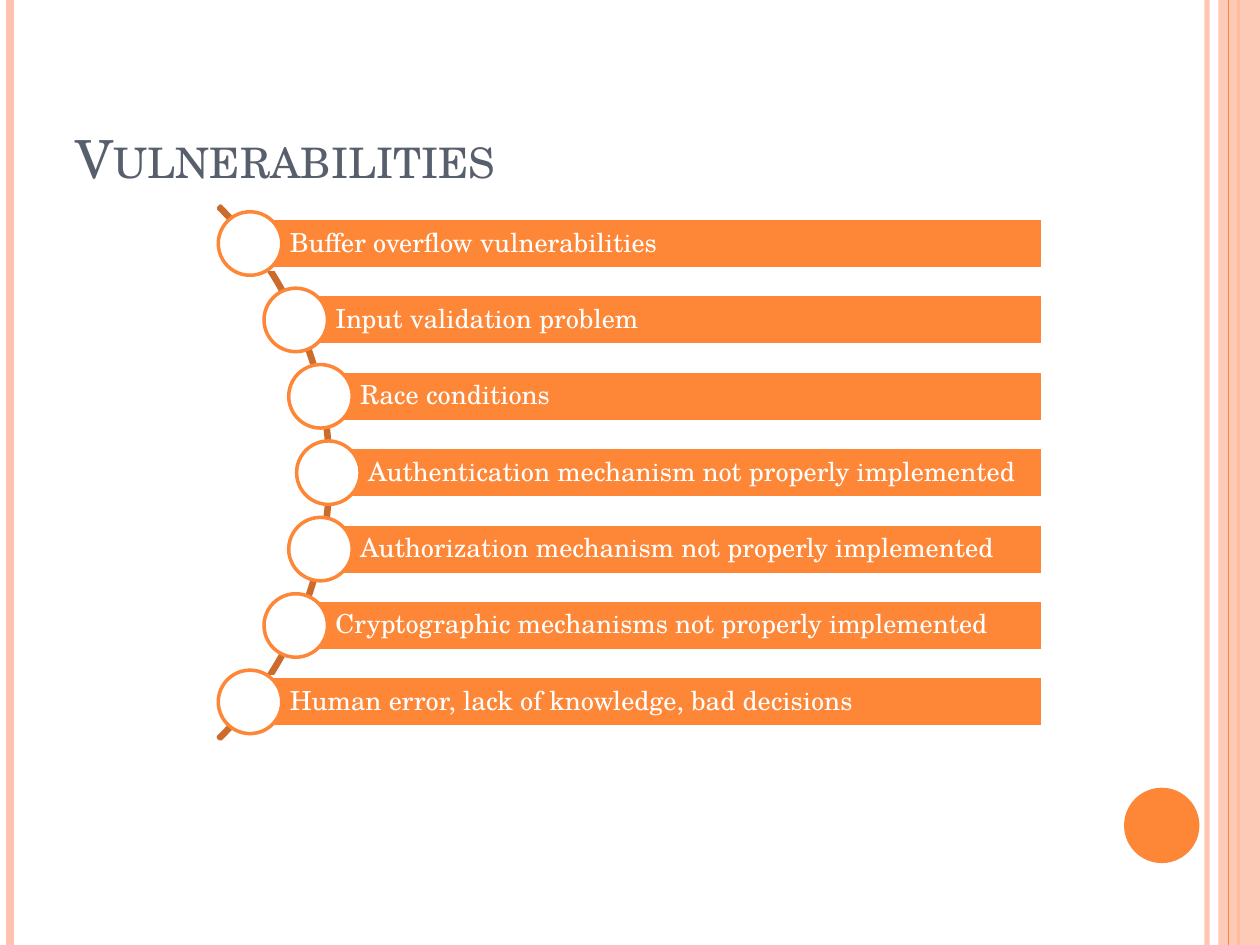
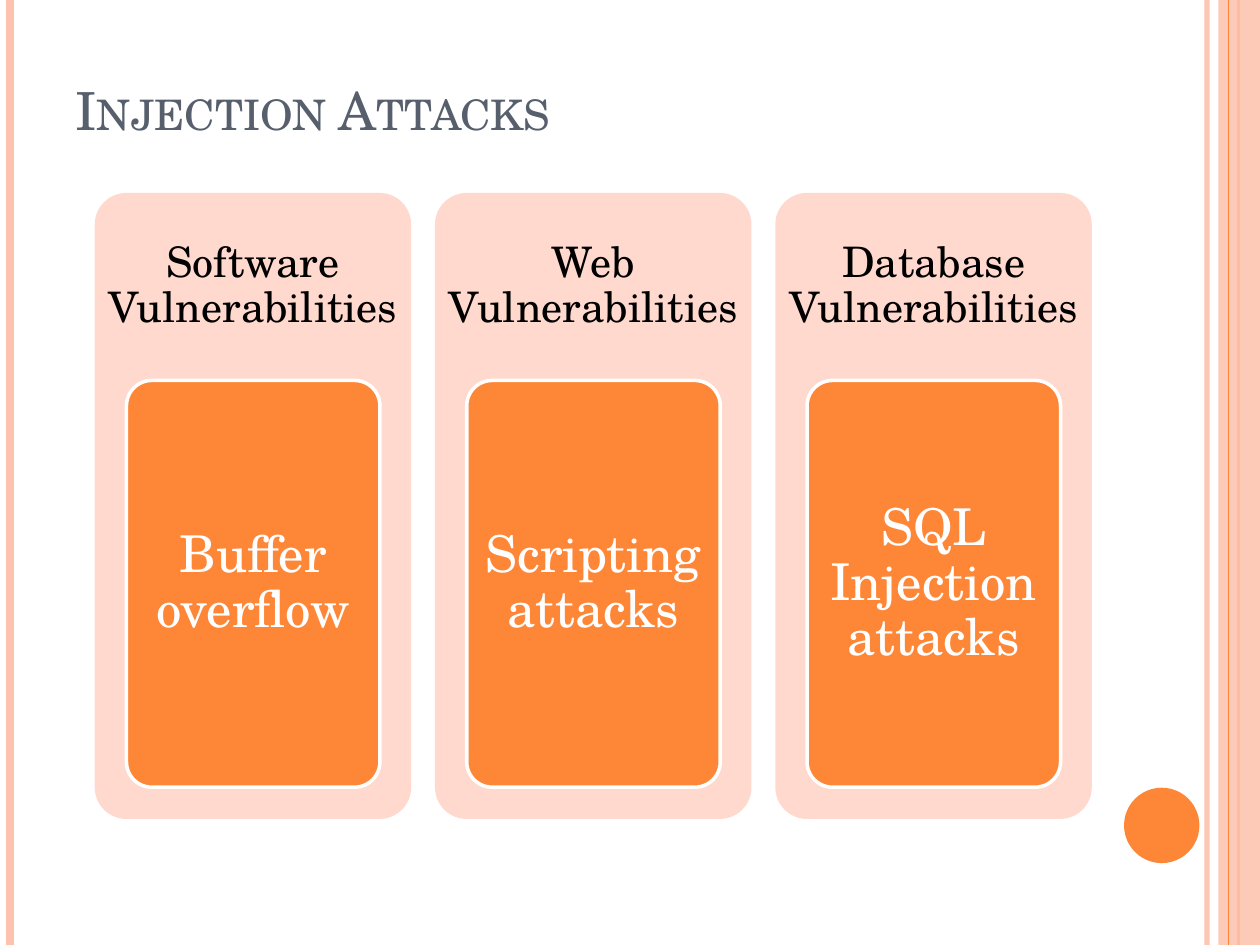
"""Build two slides on software vulnerabilities and injection attacks."""
import math
from dataclasses import dataclass

import pptx
import pptx.dml.color
import pptx.enum.shapes
import pptx.enum.text
import pptx.oxml.ns
import pptx.oxml.xmlchemy
import pptx.util
from lxml import etree

Cm = pptx.util.Cm
Shapes = pptx.enum.shapes.MSO_SHAPE
Align = pptx.enum.text.PP_ALIGN
Anchor = pptx.enum.text.MSO_ANCHOR

FONT = "TeX Gyre Schola"
ORANGE, DARK_ORANGE = "FE8637", "CB6B2C"
PEACH, PALE_PEACH = "FEC3AE", "FFD9CE"
SLATE, WHITE, BLACK = "575F6D", "FFFFFF", "000000"
SLIDE_WIDTH, SLIDE_HEIGHT = 25.4, 19.05


@dataclass(frozen=True)
class Box:
    left: float
    top: float
    width: float
    height: float

    def lengths(self) -> list:
        return [Cm(value) for value in (self.left, self.top, self.width, self.height)]


@dataclass(frozen=True)
class Stripe:
    x: float
    color: str
    points: float
    opacity: int = 100


@dataclass(frozen=True)
class TextStyle:
    size: float
    color: str
    align: Align
    insets: tuple


@dataclass(frozen=True)
class AttackPanel:
    heading: str
    attack: str


STRIPES_BELOW_BAND = [Stripe(24.33, PEACH, 3, 93), Stripe(0.2, PEACH, 4.5), Stripe(24.97, ORANGE, 1.5)]
STRIPE_ABOVE_BAND = Stripe(24.77, ORANGE, 0.75)

BAR_TEXT = TextStyle(15, WHITE, Align.LEFT, (0.8, 0.1, 0.1, 0.1))
HEADING_TEXT = TextStyle(24, BLACK, Align.CENTER, (0.25, 0.25, 0.25, 0.25))
CARD_TEXT = TextStyle(29, WHITE, Align.CENTER, (0.2, 0.15, 0.2, 0.15))

VULNERABILITIES = [
    "Buffer overflow vulnerabilities",
    "Input validation problem",
    "Race conditions",
    "Authentication mechanism not properly implemented",
    "Authorization mechanism not properly implemented",
    "Cryptographic mechanisms not properly implemented",
    "Human error, lack of knowledge, bad decisions",
]
ATTACK_PANELS = [
    AttackPanel("Software Vulnerabilities", "Buffer overflow"),
    AttackPanel("Web Vulnerabilities", "Scripting attacks"),
    AttackPanel("Database Vulnerabilities", "SQL Injection attacks"),
]


def rgb(color: str) -> pptx.dml.color.RGBColor:
    return pptx.dml.color.RGBColor.from_string(color)


def set_opacity(shape, percent: int) -> None:
    if percent < 100:
        for color in shape.element.xpath(".//p:spPr//a:srgbClr"):
            alpha = etree.SubElement(color, pptx.oxml.ns.qn("a:alpha"))
            alpha.set("val", str(percent * 1000))


def add_figure(slide, kind, box: Box, fill: str = "", line: str = "", adjustments: tuple = ()):
    figure = slide.shapes.add_shape(kind, *box.lengths())
    figure.shadow.inherit = False
    for index, value in enumerate(adjustments):
        figure.adjustments[index] = value
    if fill:
        figure.fill.solid()
        figure.fill.fore_color.rgb = rgb(fill)
    else:
        figure.fill.background()
    if line:
        figure.line.color.rgb = rgb(line)
        figure.line.width = pptx.util.Pt(2)
    else:
        figure.line.fill.background()
    return figure


def add_stripe(slide, stripe: Stripe):
    line = slide.shapes.add_connector(
        pptx.enum.shapes.MSO_CONNECTOR.STRAIGHT, Cm(stripe.x), Cm(0), Cm(stripe.x), Cm(SLIDE_HEIGHT))
    line.line.color.rgb = rgb(stripe.color)
    line.line.width = pptx.util.Pt(stripe.points)
    etree.SubElement(line.element.spPr, pptx.oxml.ns.qn("a:effectLst"))
    set_opacity(line, stripe.opacity)
    return line


def format_font(font, size: float, color: str) -> None:
    font.name = FONT
    font.size = pptx.util.Pt(size)
    font.color.rgb = rgb(color)


def write_text(shape, text: str, style: TextStyle) -> None:
    frame = shape.text_frame
    frame.text = text
    frame.word_wrap = True
    frame.vertical_anchor = Anchor.MIDDLE
    (frame.margin_left, frame.margin_top,
     frame.margin_right, frame.margin_bottom) = [Cm(inset) for inset in style.insets]
    para = frame.paragraphs[0]
    para.alignment = style.align
    para.line_spacing = 0.9
    format_font(para.runs[0].font, style.size, style.color)


def decorate_master(deck, slide) -> None:
    decorations = [add_stripe(slide, stripe) for stripe in STRIPES_BELOW_BAND]
    band = add_figure(slide, Shapes.RECTANGLE, Box(24.56, 0, 0.84, SLIDE_HEIGHT), PEACH)
    set_opacity(band, 87)
    decorations += [
        band,
        add_stripe(slide, STRIPE_ABOVE_BAND),
        add_figure(slide, Shapes.OVAL, Box(22.66, 15.88, 1.52, 1.52), ORANGE),
    ]
    for number, decoration in enumerate(decorations, start=101):
        decoration.element.xpath(".//p:cNvPr")[0].set("id", str(number))
        deck.slide_master.shapes.element.append(decoration.element)


def add_titled_slide(deck, text: str, height: float):
    slide = deck.slides.add_slide(deck.slide_layouts.get_by_name("Title Only"))
    title = slide.shapes.title
    title.left, title.top, title.width, title.height = Box(1.27, 0.76, 20.75, height).lengths()
    frame = title.text_frame
    frame.text = text
    frame.auto_size = pptx.enum.text.MSO_AUTO_SIZE.NONE
    frame.vertical_anchor = Anchor.BOTTOM
    para = frame.paragraphs[0]
    para.alignment = Align.LEFT
    span = para.runs[0]
    format_font(span.font, 30, SLATE)
    span._r.get_or_add_rPr().set("cap", "small")
    return slide


def draw_vulnerability_arc(slide) -> None:
    center_x, center_y = -0.93, 9.53
    arc_radius, node_orbit = 7.6, 7.55
    pitch, bar_height, bar_right, node_size = 1.54, 1.02, 21.02, 1.28
    arc_box = Box(center_x - arc_radius, center_y - arc_radius, 2 * arc_radius, 2 * arc_radius)
    add_figure(slide, Shapes.BLOCK_ARC, arc_box, line=DARK_ORANGE, adjustments=(189, 27, 0.004))
    for index, vulnerability in enumerate(VULNERABILITIES):
        offset = (index - (len(VULNERABILITIES) - 1) / 2) * pitch
        node_x = center_x + math.sqrt(node_orbit ** 2 - offset ** 2)
        node_y = center_y + offset
        bar_box = Box(node_x, node_y - bar_height / 2, bar_right - node_x, bar_height)
        bar = add_figure(slide, Shapes.RECTANGLE, bar_box, ORANGE, WHITE)
        write_text(bar, vulnerability, BAR_TEXT)
        node_box = Box(node_x - node_size / 2, node_y - node_size / 2, node_size, node_size)
        add_figure(slide, Shapes.OVAL, node_box, WHITE, ORANGE)


def draw_attack_panels(slide) -> None:
    top, width, pitch, heading_height = 3.89, 6.38, 6.86, 3.78
    for index, panel in enumerate(ATTACK_PANELS):
        left = 1.91 + index * pitch
        add_figure(slide, Shapes.ROUNDED_RECTANGLE, Box(left, top, width, 12.62), PALE_PEACH,
                   adjustments=(0.1,))
        heading = slide.shapes.add_textbox(*Box(left, top, width, heading_height).lengths())
        write_text(heading, panel.heading, HEADING_TEXT)
        card_box = Box(left + 0.64, top + heading_height, 5.11, 8.2)
        card = add_figure(slide, Shapes.ROUNDED_RECTANGLE, card_box, ORANGE, WHITE, (0.1,))
        write_text(card, panel.attack, CARD_TEXT)


def main() -> None:
    deck = pptx.Presentation()
    deck.slide_width, deck.slide_height = Cm(SLIDE_WIDTH), Cm(SLIDE_HEIGHT)
    vulnerabilities_slide = add_titled_slide(deck, "Vulnerabilities", 3.18)
    decorate_master(deck, vulnerabilities_slide)
    draw_vulnerability_arc(vulnerabilities_slide)
    draw_attack_panels(add_titled_slide(deck, "Injection Attacks", 2.21))
    deck.save("out.pptx")


if __name__ == "__main__":
    main()
